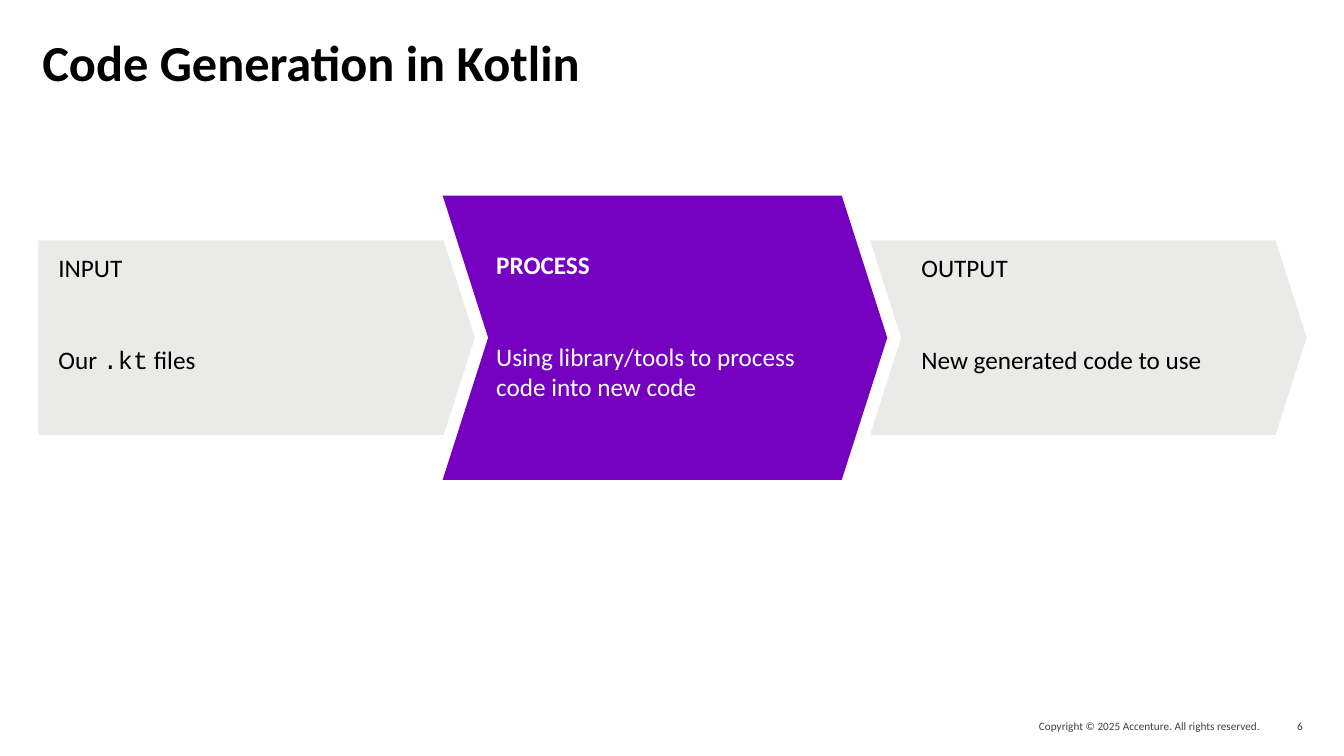
from pptx import Presentation
from pptx.dml.color import RGBColor
from pptx.enum.shapes import MSO_SHAPE as Shape
from pptx.enum.text import MSO_ANCHOR as Anchor, PP_ALIGN as Align
from pptx.util import Inches, Pt

BLACK = RGBColor(0x00, 0x00, 0x00)
WHITE = RGBColor(0xFF, 0xFF, 0xFF)
FOOTER_GREY = RGBColor(0x40, 0x40, 0x40)
STEP_GREY = RGBColor(0xEA, 0xEA, 0xE8)
PURPLE = RGBColor(0x75, 0x00, 0xC0)

BODY_FONT = "Calibri"
CODE_FONT = "Courier New"
FLOW_MIDDLE = 3.35
BODY_GAP = Pt(44)


def add_run(para, text, size, color, bold=False, font=BODY_FONT):
    span = para.add_run()
    span.text = text
    span.font.name = font
    span.font.size = Pt(size)
    span.font.bold = bold
    span.font.color.rgb = color


def set_frame(frame, insets, anchor):
    """Wrap the text and set its left, top, right and bottom insets in inches."""
    frame.word_wrap = True
    frame.vertical_anchor = anchor
    (frame.margin_left, frame.margin_top,
     frame.margin_right, frame.margin_bottom) = map(Inches, insets)


def add_label(page, place, text, size, color, bold=False,
              align=Align.LEFT, anchor=Anchor.TOP, line_spacing=1.0):
    box = page.shapes.add_textbox(*map(Inches, place))
    set_frame(box.text_frame, (0, 0, 0, 0), anchor)
    para = box.text_frame.paragraphs[0]
    para.alignment = align
    para.line_spacing = line_spacing
    add_run(para, text, size, color, bold)


def add_step(page, kind, left, width, height, point, fill, color, insets,
             heading, body, bold=False):
    """Add one arrow of the flow; body is a list of (text, font) pairs."""
    step = page.shapes.add_shape(kind, Inches(left), Inches(FLOW_MIDDLE - height / 2),
                                 Inches(width), Inches(height))
    step.adjustments[0] = point
    step.shadow.inherit = False
    step.fill.solid()
    step.fill.fore_color.rgb = fill
    step.line.fill.background()

    frame = step.text_frame
    set_frame(frame, insets, Anchor.TOP)
    title_para = frame.paragraphs[0]
    title_para.alignment = Align.LEFT
    add_run(title_para, heading, 18, color, bold)
    body_para = frame.add_paragraph()
    body_para.alignment = Align.LEFT
    body_para.space_before = BODY_GAP
    for text, font in body:
        add_run(body_para, text, 18, color, font=font)


def main():
    deck = Presentation()
    deck.slide_width, deck.slide_height = Inches(13.33), Inches(7.5)
    page = deck.slides.add_slide(deck.slide_layouts[6])

    footer = dict(size=8, color=FOOTER_GREY, align=Align.RIGHT, anchor=Anchor.MIDDLE)
    add_label(page, (9.1, 7.09, 3.4, 0.22),
              "Copyright © 2025 Accenture. All rights reserved.", **footer)
    add_label(page, (12.5, 7.09, 0.42, 0.23), "6", **footer)
    add_label(page, (0.42, 0.42, 12.5, 1.08), "Code Generation in Kotlin",
              36, BLACK, bold=True, line_spacing=0.8)

    outer = dict(width=4.33, height=1.93, point=0.16, fill=STEP_GREY,
                 color=BLACK, insets=(0.2, 0.12, 0.12, 0.08))
    add_step(page, Shape.PENTAGON, 0.38, heading="INPUT",
             body=[("Our ", BODY_FONT), (".kt", CODE_FONT), (" files", BODY_FONT)],
             **outer)
    add_step(page, Shape.CHEVRON, 4.39, width=4.41, height=2.82, point=0.16,
             fill=PURPLE, color=WHITE, insets=(0.08, 0.53, 0.08, 0.08),
             heading="PROCESS", bold=True,
             body=[("Using library/tools to process code into new code", BODY_FONT)])
    add_step(page, Shape.CHEVRON, 8.63, heading="OUTPUT",
             body=[("New generated code to use", BODY_FONT)], **outer)

    deck.save("out.pptx")


if __name__ == "__main__":
    main()
